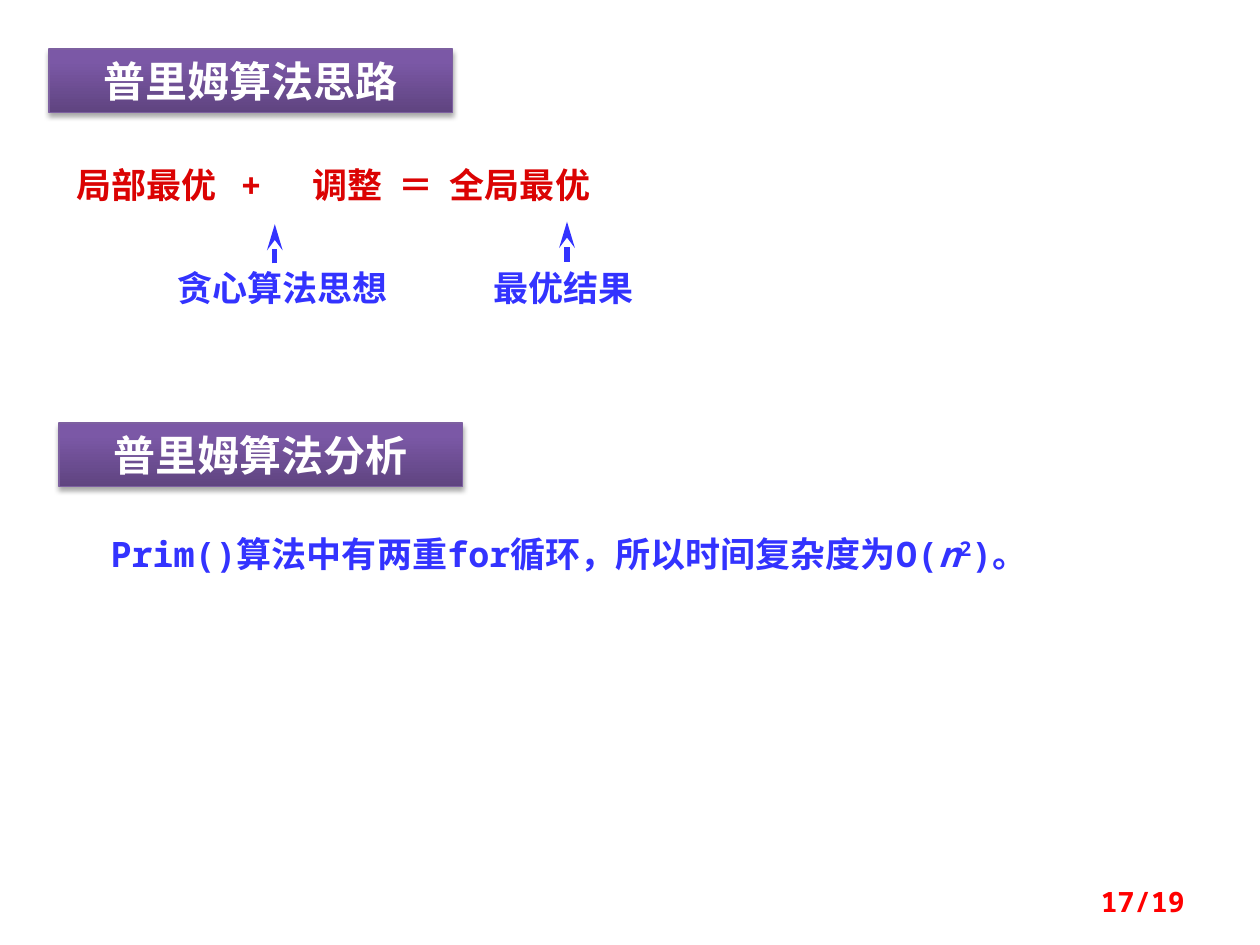
from copy import deepcopy

from lxml import etree
from pptx import Presentation
from pptx.dml.color import RGBColor
from pptx.enum.shapes import MSO_CONNECTOR, MSO_SHAPE
from pptx.enum.text import MSO_ANCHOR, MSO_AUTO_SIZE, PP_ALIGN
from pptx.oxml.ns import qn
from pptx.util import Cm, Pt

RED = RGBColor(0xDB, 0x03, 0x03)
PAGE_RED = RGBColor(0xFF, 0x00, 0x00)
BLUE = RGBColor(0x33, 0x33, 0xFF)
WHITE = RGBColor(0xFF, 0xFF, 0xFF)
BLACK = RGBColor(0x00, 0x00, 0x00)
BORDER = RGBColor(0x7D, 0x60, 0xA0)
BANNER_STOPS = [
    (0, RGBColor(0x5F, 0x44, 0x80)),
    (0.8, RGBColor(0x7B, 0x58, 0xA6)),
    (1, RGBColor(0x7C, 0x57, 0xA8)),
]
TOP, MIDDLE = MSO_ANCHOR.TOP, MSO_ANCHOR.MIDDLE
LEFT, CENTER, RIGHT = PP_ALIGN.LEFT, PP_ALIGN.CENTER, PP_ALIGN.RIGHT
FIXED = MSO_AUTO_SIZE.NONE
RECTANGLE = MSO_SHAPE.RECTANGLE
STRAIGHT = MSO_CONNECTOR.STRAIGHT


class SlideBuilder:
    heading_font = "Calibri"
    body_font = "Noto Sans Mono"
    banner_width, banner_height = Cm(8.13), Cm(1.28)

    def __init__(self, slide):
        self.slide = slide

    def add_run(self, para, text, font, size, color, italic=False, baseline=None):
        span = para.add_run()
        span.text = text
        span.font.name = font
        span.font.size = Pt(size)
        span.font.bold = True
        span.font.italic = italic
        span.font.color.rgb = color
        if baseline:
            span.font._element.set("baseline", str(baseline))

    def banner(self, shape, left, top, text):
        shape.left, shape.top = Cm(left), Cm(top)
        shape.width, shape.height = self.banner_width, self.banner_height
        shape.fill.gradient()
        shape.fill.gradient_angle = 90
        stops = shape._element.spPr.find(".//" + qn("a:gsLst"))
        stops.append(deepcopy(stops[-1]))
        for stop, (position, color) in zip(shape.fill.gradient_stops, BANNER_STOPS):
            stop.position = position
            stop.color.rgb = color
        shape.line.color.rgb = BORDER
        shape.line.width = Pt(0.75)
        self.add_shadow(shape)
        frame = shape.text_frame
        frame.word_wrap = True
        frame.auto_size = FIXED
        frame.vertical_anchor = MIDDLE
        para = frame.paragraphs[0]
        para.alignment = CENTER
        self.add_run(para, text, self.heading_font, 24, WHITE)

    def add_shadow(self, shape):
        shape.shadow.inherit = False
        effects = shape._element.spPr.find(qn("a:effectLst"))
        shadow = etree.SubElement(
            effects, qn("a:outerShdw"), blurRad="40000", dist="23000",
            dir="5400000", rotWithShape="0")
        color = etree.SubElement(shadow, qn("a:srgbClr"), val=str(BLACK))
        etree.SubElement(color, qn("a:alpha"), val="35000")

    def title_banner(self, left, top, text):
        self.banner(self.slide.shapes.title, left, top, text)

    def shape_banner(self, left, top, text):
        shape = self.slide.shapes.add_shape(
            RECTANGLE, Cm(left), Cm(top), self.banner_width, self.banner_height)
        self.banner(shape, left, top, text)

    def text(self, left, top, width, height, spans, color, size=20,
             align=LEFT, anchor=TOP, spacing=None, tabs=()):
        box = self.slide.shapes.add_textbox(Cm(left), Cm(top), Cm(width), Cm(height))
        frame = box.text_frame
        frame.word_wrap = True
        frame.vertical_anchor = anchor
        para = frame.paragraphs[0]
        para.alignment = align
        if spacing:
            para.line_spacing = spacing
        if tabs:
            tab_list = etree.SubElement(para._p.get_or_add_pPr(), qn("a:tabLst"))
            for position in tabs:
                etree.SubElement(tab_list, qn("a:tab"), pos=str(Cm(position)), algn="l")
        for text, style in spans:
            self.add_run(para, text, self.body_font, size, color, **style)

    def up_arrow(self, x, bottom, top):
        arrow = self.slide.shapes.add_connector(
            STRAIGHT, Cm(x), Cm(bottom), Cm(x), Cm(top))
        arrow.line.color.rgb = BLUE
        arrow.line.width = Pt(3)
        etree.SubElement(arrow.line._get_or_add_ln(), qn("a:tailEnd"),
                         type="stealth", w="med", len="lg")
        etree.SubElement(arrow._element.spPr, qn("a:effectLst"))


deck = Presentation()
deck.slide_width, deck.slide_height = Cm(25.4), Cm(19.05)
page = SlideBuilder(deck.slides.add_slide(deck.slide_layouts[5]))

page.title_banner(0.99, 0.99, "普里姆算法思路")
page.text(1.3, 3.18, 13, 1.11, [("局部最优\t+\t调整\t＝\t全局最优", {})], RED,
          tabs=(3.3, 4.75, 6.48, 7.52))
for x, bottom, top, left, width, label in [
    (5.54, 5.31, 4.52, 3.33, 4.8, "贪心算法思想"),
    (11.43, 5.28, 4.47, 9.7, 3.4, "最优结果"),
]:
    page.up_arrow(x, bottom, top)
    page.text(left, 5.25, width, 1.09, [(label, {})], BLUE)

page.shape_banner(1.19, 8.53, "普里姆算法分析")
page.text(1.98, 10.52, 22.4, 1.19, [
    ("Prim()算法中有两重for循环，所以时间复杂度为O(", {}),
    ("n", {"italic": True}),
    ("2", {"baseline": 30000}),
    (")。", {}),
], BLUE, spacing=1.1)
page.text(18.21, 17.65, 5.92, 1.02, [("17/19", {})], PAGE_RED,
          size=16, align=RIGHT, anchor=MIDDLE)

deck.save("out.pptx")
